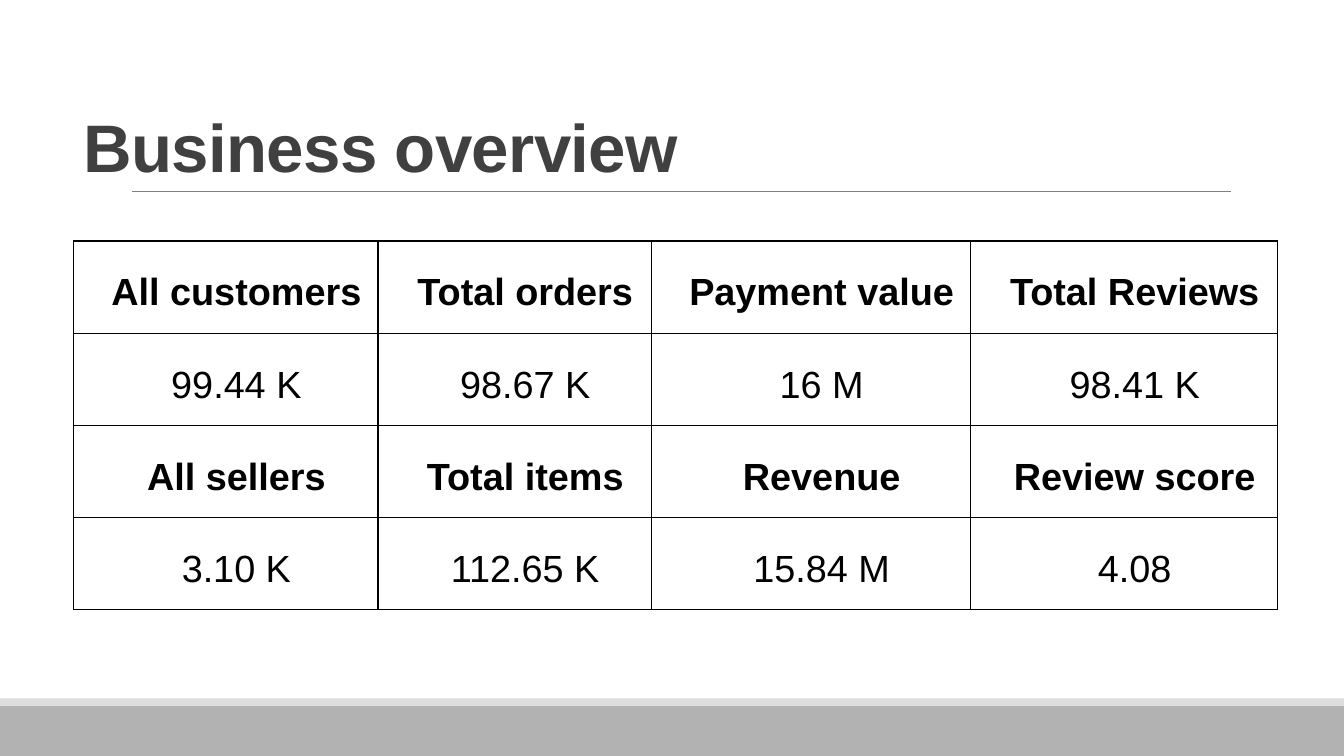
from dataclasses import dataclass

from lxml.etree import SubElement
from pptx import Presentation
from pptx.dml.color import RGBColor
from pptx.enum.shapes import MSO_CONNECTOR, MSO_SHAPE
from pptx.enum.text import MSO_ANCHOR, MSO_AUTO_SIZE, PP_ALIGN
from pptx.oxml.ns import qn
from pptx.slide import Slide
from pptx.table import _Cell
from pptx.text.text import _Run
from pptx.util import Inches, Pt

COLORS = {
    "band": "B2B2B2",
    "strip": "DDDDDD",
    "rule": "808080",
    "title": "404040",
    "text": "000000",
    "border": "000000",
}
FONT = "Arial"
SLIDE_W, SLIDE_H = 13.33, 7.5
TABLE_LEFT, TABLE_TOP = 0.73, 2.39
COL_WIDTHS = [3.02, 2.71, 3.17, 3.04]
ROW_HEIGHT = 0.915


@dataclass
class Bar:
    top: float
    height: float
    color: str


@dataclass
class Metric:
    label: str
    value: str


BARS = [Bar(7, 0.5, "band"), Bar(6.93, 0.07, "strip")]
METRIC_ROWS = [
    [
        Metric("All customers", "99.44 K"),
        Metric("Total orders", "98.67 K"),
        Metric("Payment value", "16 M"),
        Metric("Total Reviews", "98.41 K"),
    ],
    [
        Metric("All sellers", "3.10 K"),
        Metric("Total items", "112.65 K"),
        Metric("Revenue", "15.84 M"),
        Metric("Review score", "4.08"),
    ],
]


def rgb(name: str) -> RGBColor:
    return RGBColor.from_string(COLORS[name])


def format_run(r: _Run, size: float, color: str, bold: bool) -> None:
    r.font.name = FONT
    r.font.size = Pt(size)
    r.font.bold = bold
    r.font.color.rgb = rgb(color)


def add_bar(s: Slide, bar: Bar) -> None:
    sp = s.shapes.add_shape(
        MSO_SHAPE.RECTANGLE, 0, Inches(bar.top), Inches(SLIDE_W), Inches(bar.height)
    )
    sp.shadow.inherit = False
    sp.fill.solid()
    sp.fill.fore_color.rgb = rgb(bar.color)
    sp.line.fill.background()


def add_rule(s: Slide) -> None:
    rule = s.shapes.add_connector(
        MSO_CONNECTOR.STRAIGHT, Inches(1.31), Inches(1.9), Inches(12.21), Inches(1.9)
    )
    rule.line.color.rgb = rgb("rule")
    rule.line.width = Pt(0.5)
    SubElement(rule._element.spPr, qn("a:effectLst"))


def format_title(s: Slide) -> None:
    title = s.shapes.title
    title.left, title.top = Inches(0.73), Inches(0.31)
    title.width, title.height = Inches(11.44), Inches(1.59)
    tf = title.text_frame
    tf.text = "Business overview"
    tf.word_wrap = True
    tf.auto_size = MSO_AUTO_SIZE.NONE
    tf.vertical_anchor = MSO_ANCHOR.BOTTOM
    p = tf.paragraphs[0]
    p.alignment = PP_ALIGN.LEFT
    p.line_spacing = 0.85
    r = p.runs[0]
    format_run(r, 48, "title", True)
    r.font._element.set("spc", "-50")


def add_borders(cell: _Cell) -> None:
    tc_pr = cell._tc.get_or_add_tcPr()
    for side in ("lnL", "lnR", "lnT", "lnB"):
        ln = SubElement(tc_pr, qn(f"a:{side}"), w=str(Pt(1)))
        fill = SubElement(ln, qn("a:solidFill"))
        SubElement(fill, qn("a:srgbClr"), val=COLORS["border"])


def fill_cell(cell: _Cell, text: str, bold: bool) -> None:
    add_borders(cell)
    cell.fill.background()
    cell.margin_left, cell.margin_right = Inches(0.25), Inches(0.04)
    cell.margin_top = cell.margin_bottom = Inches(0.19)
    cell.vertical_anchor = MSO_ANCHOR.BOTTOM
    p = cell.text_frame.paragraphs[0]
    p.text = text
    p.alignment = PP_ALIGN.CENTER
    format_run(p.runs[0], 27, "text", bold)


def add_metrics(s: Slide) -> None:
    rows = 2 * len(METRIC_ROWS)
    table = s.shapes.add_table(
        rows,
        len(COL_WIDTHS),
        Inches(TABLE_LEFT),
        Inches(TABLE_TOP),
        Inches(sum(COL_WIDTHS)),
        Inches(rows * ROW_HEIGHT),
    ).table
    table.first_row = False
    table.horz_banding = False
    for column, width in zip(table.columns, COL_WIDTHS):
        column.width = Inches(width)
    for i, metrics in enumerate(METRIC_ROWS):
        for j, metric in enumerate(metrics):
            fill_cell(table.cell(2 * i, j), metric.label, True)
            fill_cell(table.cell(2 * i + 1, j), metric.value, False)


def main() -> None:
    prs = Presentation()
    prs.slide_width, prs.slide_height = Inches(SLIDE_W), Inches(SLIDE_H)
    s = prs.slides.add_slide(prs.slide_layouts[5])
    for bar in BARS:
        add_bar(s, bar)
    add_rule(s)
    format_title(s)
    add_metrics(s)
    prs.save("out.pptx")


if __name__ == "__main__":
    main()
